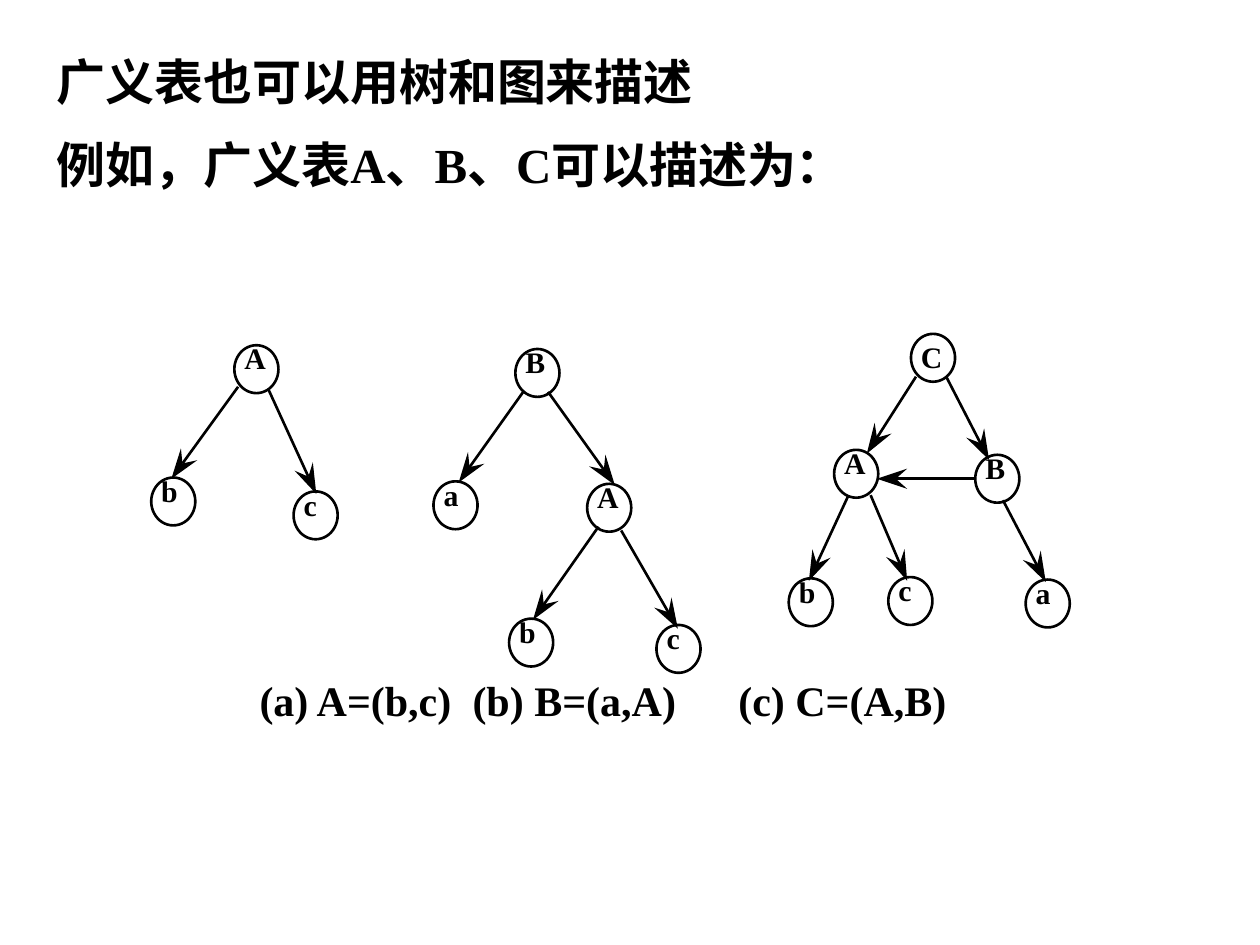
import math

from lxml import etree
from pptx import Presentation
from pptx import util as u
from pptx.dml.color import RGBColor
from pptx.enum import shapes, text
from pptx.oxml.ns import qn

FONT = "Times New Roman"
BLACK = "000000"
NODE_W, NODE_H = 0.35, 0.38
LETTER_WIDTHS = {"A": 0.17, "B": 0.16, "C": 0.17, "a": 0.12, "b": 0.13, "c": 0.10}

# Nodes: letter, left, top of the circle; edges: start x, y, tip x, y
TREE_A = {
    "nodes": [("A", 1.86, 2.74), ("b", 1.2, 3.79), ("c", 2.33, 3.9)],
    "edges": [(1.89, 3.07, 1.36, 3.8), (2.13, 3.09, 2.51, 3.92)],
}
TREE_B = {
    "nodes": [("B", 4.09, 2.77), ("a", 3.44, 3.82), ("A", 4.66, 3.84),
              ("b", 4.04, 4.91), ("c", 5.21, 4.96)],
    "edges": [(4.16, 3.1, 3.64, 3.83), (4.35, 3.11, 4.88, 3.85),
              (4.75, 4.18, 4.23, 4.92), (4.93, 4.21, 5.38, 4.99)],
}
GRAPH_C = {
    "nodes": [("C", 7.23, 2.65), ("A", 6.62, 3.57), ("B", 7.74, 3.61),
              ("b", 6.26, 4.59), ("c", 7.05, 4.58), ("a", 8.14, 4.6)],
    "edges": [(7.27, 2.99, 6.88, 3.6), (7.51, 2.99, 7.85, 3.65),
              (7.74, 3.8, 6.96, 3.8), (6.73, 3.94, 6.42, 4.61),
              (6.91, 3.93, 7.2, 4.61), (7.96, 3.97, 8.3, 4.62)],
}


def color(hex_code):
    return RGBColor.from_string(hex_code)


def add_run(paragraph, words, size):
    run = paragraph.add_run()
    run.text = words
    run.font.name = FONT
    run.font.size = u.Pt(size)
    run.font.bold = True
    run.font.color.rgb = color(BLACK)


def add_label(slide, left, top, width, height, wrap):
    """Text box without insets; returns its first paragraph."""
    label = slide.shapes.add_textbox(
        u.Inches(left), u.Inches(top), u.Inches(width), u.Inches(height))
    frame = label.text_frame
    frame.word_wrap = wrap
    frame.margin_left = frame.margin_right = 0
    frame.margin_top = frame.margin_bottom = 0
    return frame.paragraphs[0]


def add_heading(slide, lines):
    heading = slide.shapes.title
    heading.left, heading.top = u.Inches(0.35), u.Inches(0.36)
    heading.width, heading.height = u.Inches(8.42), u.Inches(1.27)
    frame = heading.text_frame
    frame.word_wrap = True
    frame.auto_size = text.MSO_AUTO_SIZE.NONE
    frame.vertical_anchor = text.MSO_ANCHOR.TOP
    for index, line in enumerate(lines):
        paragraph = frame.add_paragraph() if index else frame.paragraphs[0]
        paragraph.alignment = text.PP_ALIGN.JUSTIFY
        if index:
            paragraph.space_before = u.Pt(14)
        add_run(paragraph, line, 28)


def add_node(slide, letter, left, top):
    # The root C sits lower in its circle than the other letters
    label_top = top + (0.04 if letter == "C" else -0.04)
    paragraph = add_label(slide, left + 0.08, label_top,
                          LETTER_WIDTHS[letter], 0.28, wrap=False)
    add_run(paragraph, letter, 17)

    circle = slide.shapes.add_shape(
        shapes.MSO_SHAPE.OVAL, u.Inches(left), u.Inches(top),
        u.Inches(NODE_W), u.Inches(NODE_H))
    circle.shadow.inherit = False
    circle.fill.background()
    circle.line.color.rgb = color(BLACK)
    circle.line.width = u.Pt(1.5)


def add_edge(slide, start_x, start_y, tip_x, tip_y):
    """Line with a large notched head, grouped."""
    length = math.hypot(tip_x - start_x, tip_y - start_y)
    dx, dy = (tip_x - start_x) / length, (tip_y - start_y) / length

    def from_tip(back, side):
        return (u.Inches(tip_x - back * dx - side * dy),
                u.Inches(tip_y - back * dy + side * dx))

    notch = from_tip(0.15, 0)
    edge = slide.shapes.add_group_shape()
    line = edge.shapes.add_connector(
        shapes.MSO_CONNECTOR.STRAIGHT, u.Inches(start_x), u.Inches(start_y), *notch)
    line.line.color.rgb = color(BLACK)
    line.line.width = u.Pt(1.5)
    etree.SubElement(line._element.spPr, qn("a:effectLst"))

    outline = edge.shapes.build_freeform(*from_tip(0, 0))
    outline.add_line_segments(
        [from_tip(0.24, 0.08), notch, from_tip(0.24, -0.08)], close=True)
    head = outline.convert_to_shape()
    head.shadow.inherit = False
    head.fill.solid()
    head.fill.fore_color.rgb = color(BLACK)
    head.line.fill.background()


def add_diagram(slide, diagram):
    for edge in diagram["edges"]:
        add_edge(slide, *edge)
    for node in diagram["nodes"]:
        add_node(slide, *node)


def add_captions(slide, captions, stops):
    paragraph = add_label(slide, 2.06, 5.35, 5.48, 0.4, wrap=True)
    tabs = etree.SubElement(paragraph._p.get_or_add_pPr(), qn("a:tabLst"))
    for stop in stops:
        etree.SubElement(tabs, qn("a:tab"), pos=str(u.Inches(stop)), algn="l")
    add_run(paragraph, "\t".join(captions), 24)


def main():
    deck = Presentation()
    deck.slide_width, deck.slide_height = u.Inches(10), u.Inches(7.5)
    slide = deck.slides.add_slide(deck.slide_layouts.get_by_name("Title Only"))

    # Introduction
    add_heading(slide, ["广义表也可以用树和图来描述", "例如，广义表A、B、C可以描述为："])

    # Two trees and one graph
    for diagram in (TREE_A, TREE_B, GRAPH_C):
        add_diagram(slide, diagram)

    # Captions under the diagrams
    add_captions(slide, ["(a) A=(b,c)", "(b) B=(a,A)", "(c) C=(A,B)"], [1.69, 3.8])

    deck.save("out.pptx")


if __name__ == "__main__":
    main()
